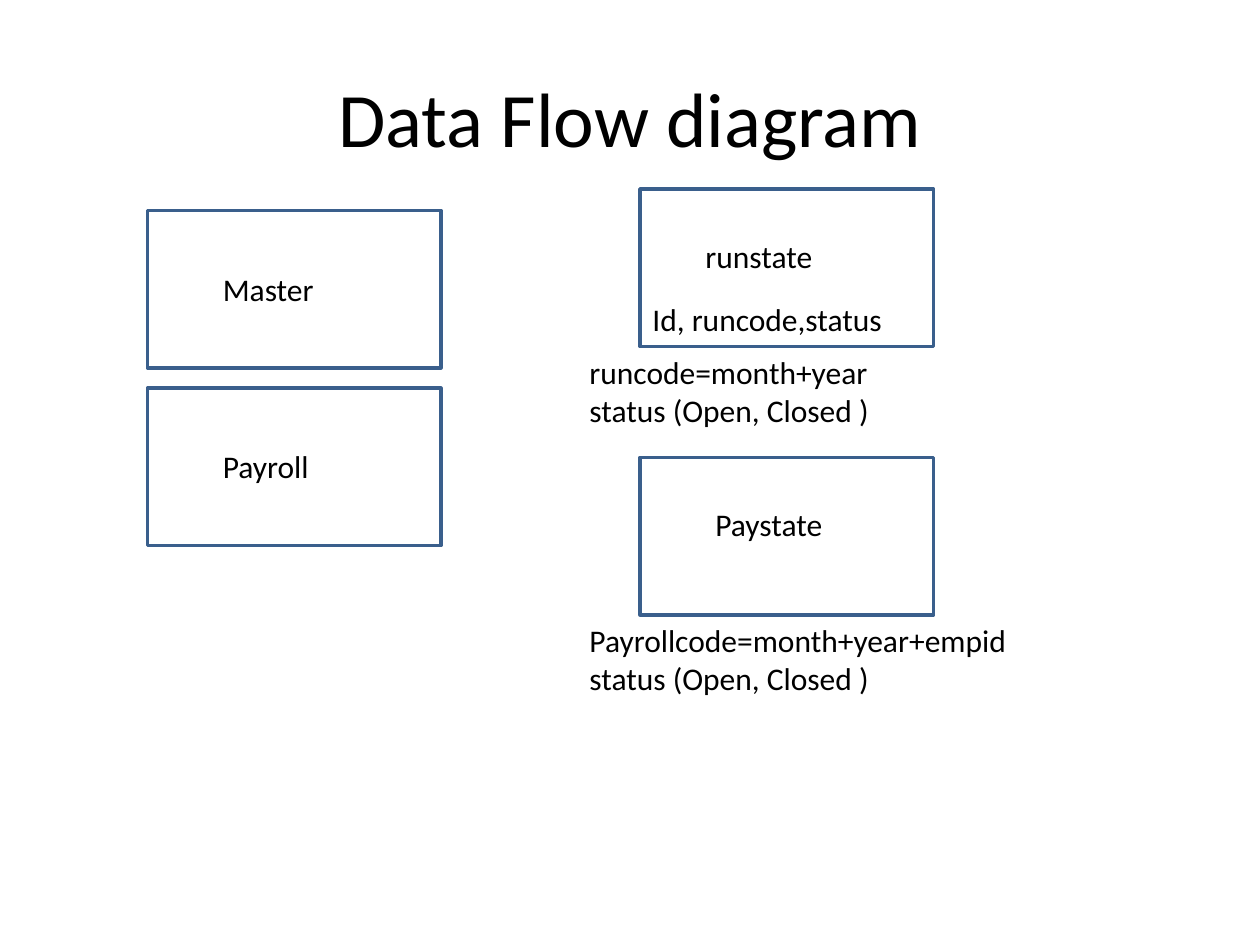
"""Build the data flow diagram slide."""
from pptx import Presentation
from pptx.dml.color import RGBColor
from pptx.enum import shapes, text
from pptx.util import Inches, Pt

FONT = "Calibri"
INK = "000000"
BORDER = "3A5F8C"
STORE_WIDTH, STORE_HEIGHT = 2.33, 1.25


def color(value):
    """Turn a hex string into a colour."""
    return RGBColor.from_string(value)


def add_run(para, content, size):
    """Add one formatted run to a paragraph."""
    span = para.add_run()
    span.text = content
    span.font.name = FONT
    span.font.size = Pt(size)
    span.font.color.rgb = color(INK)


def add_title(slide, content):
    """Place and fill the title placeholder."""
    title = slide.shapes.title
    title.left, title.top = Inches(0.5), Inches(0.3)
    title.width, title.height = Inches(9), Inches(1.25)
    frame = title.text_frame
    frame.vertical_anchor = text.MSO_ANCHOR.MIDDLE
    para = frame.paragraphs[0]
    para.alignment = text.PP_ALIGN.CENTER
    add_run(para, content, 44)


def add_store(slide, left, top):
    """Draw an outlined data store."""
    box = slide.shapes.add_shape(
        shapes.MSO_SHAPE.RECTANGLE, Inches(left), Inches(top),
        Inches(STORE_WIDTH), Inches(STORE_HEIGHT))
    box.shadow.inherit = False
    box.fill.background()
    box.line.color.rgb = color(BORDER)
    box.line.width = Pt(2)


def add_label(slide, left, top, width, lines):
    """Add a text box with one paragraph per line."""
    height = 0.4 + 0.31 * (len(lines) - 1)
    box = slide.shapes.add_textbox(
        Inches(left), Inches(top), Inches(width), Inches(height))
    frame = box.text_frame
    frame.word_wrap = True
    frame.auto_size = text.MSO_AUTO_SIZE.SHAPE_TO_FIT_TEXT
    for index, line in enumerate(lines):
        para = frame.add_paragraph() if index else frame.paragraphs[0]
        add_run(para, line, 18)


def main():
    """Build and save the slide."""
    deck = Presentation()
    deck.slide_width, deck.slide_height = Inches(10), Inches(7.5)
    slide = deck.slides.add_slide(deck.slide_layouts[5])
    add_title(slide, "Data Flow diagram")

    for name, top in (("Master", 1.67), ("Payroll", 3.08)):
        add_store(slide, 1.17, top)
        add_label(slide, 1.67, top + 0.42, 1.17, [name])

    states = (
        ("runstate", 5.5, 1.5, "runcode=month+year"),
        ("Paystate", 5.58, 3.63, "Payrollcode=month+year+empid"),
    )
    for name, left, top, code in states:
        add_store(slide, 5.08, top)
        add_label(slide, left, top + 0.33, 1.5, [name])
        add_label(slide, 4.58, top + STORE_HEIGHT, 3.75,
                  [code, "status (Open, Closed )"])
    add_label(slide, 5.08, 2.33, 2.5, ["Id, runcode,status"])

    deck.save("out.pptx")


main()
